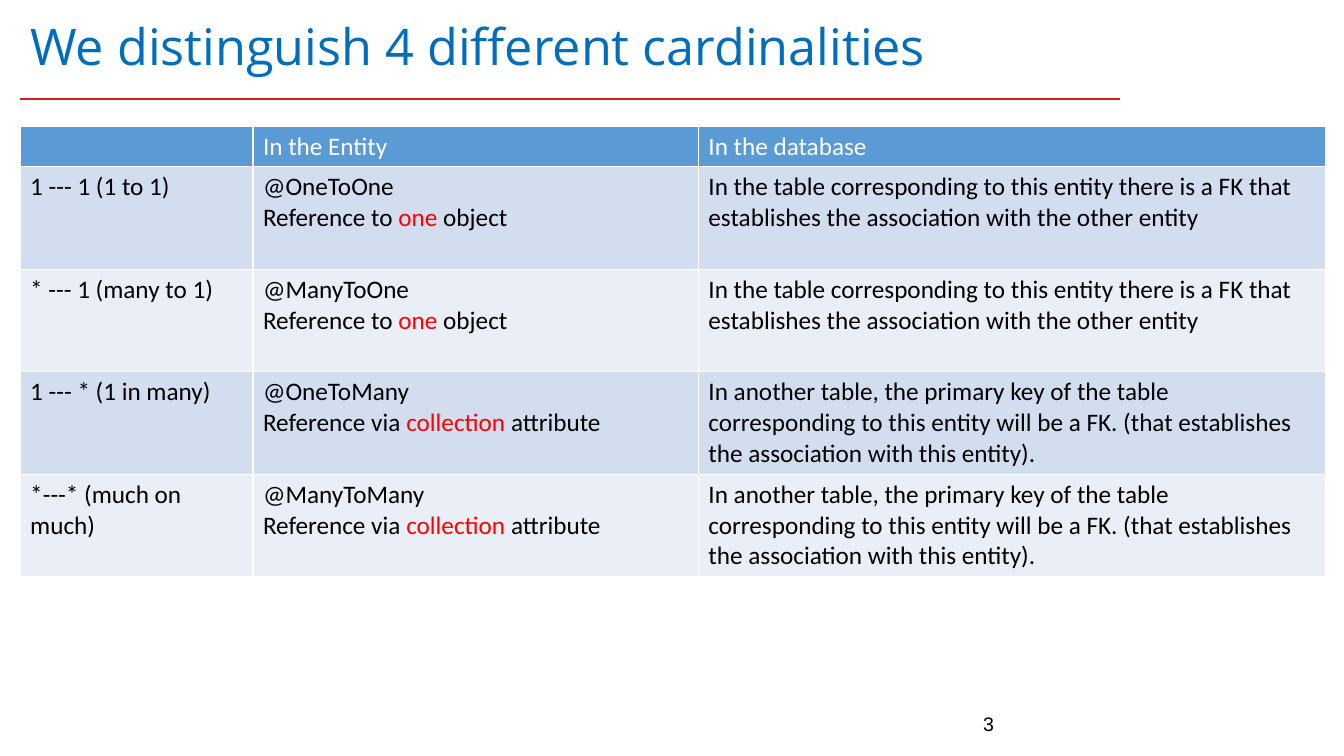
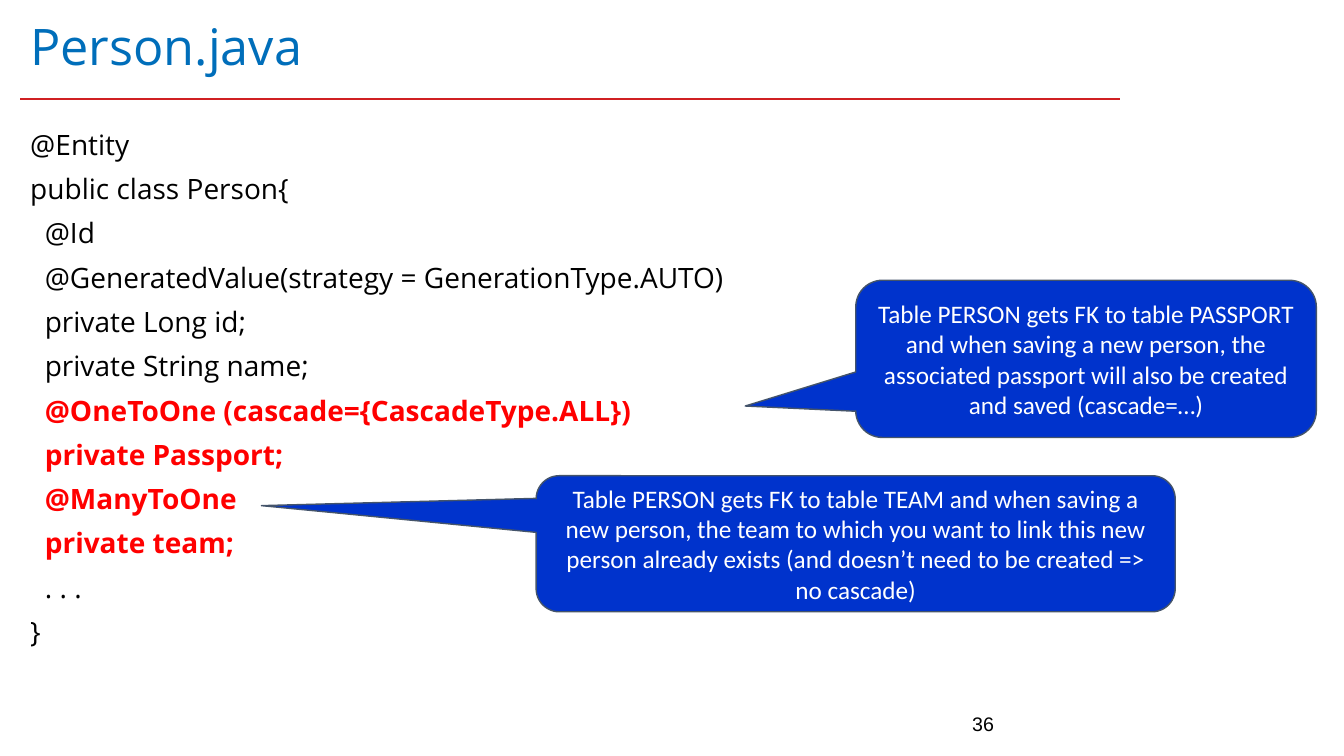
import pptx
import pptx.dml.color
import pptx.enum.shapes
import pptx.enum.text
import pptx.oxml
import pptx.oxml.ns
import pptx.util

Pt = pptx.util.Pt
ALIGN = pptx.enum.text.PP_ALIGN
ANCHOR = pptx.enum.text.MSO_ANCHOR
SHAPE = pptx.enum.shapes.MSO_SHAPE

COLORS = {
    "title": "006EBA", "rule": "D02023", "text": "000000", "accent": "FF0000",
    "white": "FFFFFF", "header": "5B9BD5", "odd": "D2DEEF", "even": "EAEFF7",
    "callout": "0033CC", "outline": "44546A",
}
FORMATS = {
    "title": {"name": "Open Sans", "size": Pt(36), "color": "title"},
    "code": {"name": "Open Sans", "size": Pt(20), "color": "text"},
    "code_accent": {"name": "Open Sans", "size": Pt(20), "bold": True, "color": "accent"},
    "number": {"name": "Arial", "size": Pt(14), "color": "text"},
    "light": {"name": "Calibri", "size": Pt(18), "bold": False, "color": "white"},
    "cell": {"name": "Calibri", "size": Pt(18), "color": "text"},
    "cell_accent": {"name": "Calibri", "size": Pt(18), "color": "accent"},
}
MARGIN = 14.4
CONTENT_TOP = 90


def rgb(name):
    return pptx.dml.color.RGBColor.from_string(COLORS[name])


def points(*lengths):
    return [Pt(length) for length in lengths]


class Deck:
    def __init__(self):
        self.deck = pptx.Presentation()
        self.deck.slide_width, self.deck.slide_height = points(960, 540)
        self.page = None

    def add_page(self, layout, title, title_width, number):
        self.page = self.deck.slides.add_slide(self.deck.slide_layouts[layout])
        box = self.page.shapes.title
        self.place(box, MARGIN, 12.2, title_width, 58.3)
        box.text_frame.vertical_anchor = ANCHOR.TOP
        self.fill_text(box.text_frame, [[(title, "title")]],
                       alignment=ALIGN.LEFT, line_spacing=0.9)
        self.rule(MARGIN, 70.5, 800)
        box = self.page.shapes.add_textbox(*points(666, 504.7, 51.1, 37.4))
        box.text_frame.word_wrap = True
        self.fill_text(box.text_frame, [[(number, "number")]], alignment=ALIGN.RIGHT)

    def place(self, box, left, top, width, height):
        box.left, box.top, box.width, box.height = points(left, top, width, height)

    def fill_text(self, frame, paragraphs, **settings):
        for index, spans in enumerate(paragraphs):
            para = frame.add_paragraph() if index else frame.paragraphs[0]
            for key, value in settings.items():
                setattr(para, key, value)
            for text, style in spans:
                span = para.add_run()
                span.text = text
                for key, value in FORMATS[style].items():
                    if key == "color":
                        span.font.color.rgb = rgb(value)
                    else:
                        setattr(span.font, key, value)

    def rule(self, left, top, right):
        line = self.page.shapes.add_connector(
            pptx.enum.shapes.MSO_CONNECTOR.STRAIGHT, *points(left, top, right, top))
        line.line.color.rgb = rgb("rule")
        line.line.width = Pt(1.25)
        properties = line._element.spPr
        properties.append(pptx.oxml.parse_xml(
            f'<a:effectLst {pptx.oxml.ns.nsdecls("a")}/>'))

    def code(self, lines):
        box = self.page.placeholders[1]
        self.place(box, MARGIN, CONTENT_TOP, 932.4, 406)
        frame = box.text_frame
        frame.auto_size = pptx.enum.text.MSO_AUTO_SIZE.TEXT_TO_FIT_SHAPE
        self.fill_text(frame, [[(text, style)] for text, style, _ in lines],
                       line_spacing=0.9, space_before=Pt(10))
        for para, (_, _, indent) in zip(frame.paragraphs, lines):
            properties = para._p.get_or_add_pPr()
            properties.set("marL", str(Pt(indent)))
            properties.set("indent", "0")
            properties.append(pptx.oxml.parse_xml(
                f'<a:buNone {pptx.oxml.ns.nsdecls("a")}/>'))

    def table(self, widths, heights, rows):
        table = self.page.shapes.add_table(
            len(rows), len(widths),
            *points(MARGIN, CONTENT_TOP, sum(widths), sum(heights))).table
        for column, width in zip(table.columns, widths):
            column.width = Pt(width)
        for index, (row, height) in enumerate(zip(rows, heights)):
            table.rows[index].height = Pt(height)
            fill = "header" if index == 0 else "odd" if index % 2 else "even"
            for cell, paragraphs in zip(table.rows[index].cells, row):
                cell.fill.solid()
                cell.fill.fore_color.rgb = rgb(fill)
                self.fill_text(cell.text_frame, paragraphs)
                self.border(cell)

    def border(self, cell):
        properties = cell._tc.get_or_add_tcPr()
        for position, side in enumerate("LRTB"):
            properties.insert(position, pptx.oxml.parse_xml(
                f'<a:ln{side} {pptx.oxml.ns.nsdecls("a")} w="{Pt(1)}"><a:solidFill>'
                f'<a:srgbClr val="{COLORS["white"]}"/></a:solidFill></a:ln{side}>'))

    def callout(self, left, top, width, height, tip, text):
        box = self.page.shapes.add_shape(
            SHAPE.ROUNDED_RECTANGULAR_CALLOUT, *points(left, top, width, height))
        for index, value in enumerate((*tip, 0.17)):
            box.adjustments[index] = value
        box.shadow.inherit = False
        box.fill.solid()
        box.fill.fore_color.rgb = rgb("callout")
        box.line.color.rgb = rgb("outline")
        box.line.width = Pt(1)
        box.text_frame.word_wrap = True
        box.text_frame.vertical_anchor = ANCHOR.MIDDLE
        self.fill_text(box.text_frame, [[(text, "light")]], alignment=ALIGN.CENTER)


OWN_KEY = ("In the table corresponding to this entity there is a FK that "
           "establishes the association with the other entity")
OTHER_KEY = ("In another table, the primary key of the table corresponding to this "
             "entity will be a FK. (that establishes the association with this entity).")
CARDINALITIES = [
    ("1 --- 1 (1 to 1)", "@OneToOne", "to", "one", "object", OWN_KEY),
    ("* --- 1 (many to 1)", "@ManyToOne", "to", "one", "object", OWN_KEY),
    ("1 --- * (1 in many)", "@OneToMany", "via", "collection", "attribute", OTHER_KEY),
    ("*---* (much on much)", "@ManyToMany", "via", "collection", "attribute", OTHER_KEY),
]
rows = [[[], [[("In the Entity", "light")]], [[("In the database", "light")]]]]
for label, annotation, link, target, kind, storage in CARDINALITIES:
    reference = [(f"Reference {link} ", "cell"), (f"{target} ", "cell_accent"),
                 (kind, "cell")]
    rows.append([[[(label, "cell")]], [[(annotation, "cell")], reference],
                 [[(storage, "cell")]]])

INDENT = 10.4
PERSON_CODE = [
    ("@Entity", "code", 0),
    ("public class Person{", "code", 0),
    ("@Id", "code", INDENT),
    ("@GeneratedValue(strategy = GenerationType.AUTO)", "code", INDENT),
    ("private Long id;", "code", INDENT),
    ("private String name;", "code", INDENT),
    ("@OneToOne (cascade={CascadeType.ALL})", "code_accent", INDENT),
    ("private Passport;", "code_accent", INDENT),
    ("@ManyToOne", "code_accent", INDENT),
    ("private team;", "code_accent", INDENT),
    (". . .", "code", INDENT),
    ("}", "code", 0),
]

deck = Deck()
deck.add_page(5, "We distinguish 4 different cardinalities", 809.3, "3")
deck.table([166.3, 318.2, 447.9], [29.2] + [73.2] * len(CARDINALITIES), rows)

deck.add_page(1, "Person.java", 793.4, "36")
deck.code(PERSON_CODE)
deck.callout(383, 339.8, 456.5, 97.2, (-0.93, -0.28),
             "Table PERSON gets FK to table TEAM and when saving a new person, the team "
             "to which you want to link this new person already exists (and doesn’t "
             "need to be created => no cascade)")
deck.callout(611.3, 200.2, 329, 112.3, (-0.74, 0.3),
             "Table PERSON gets FK to table PASSPORT and when saving a new person, the "
             "associated passport will also be created and saved (cascade=…)")
deck.deck.save("out.pptx")
